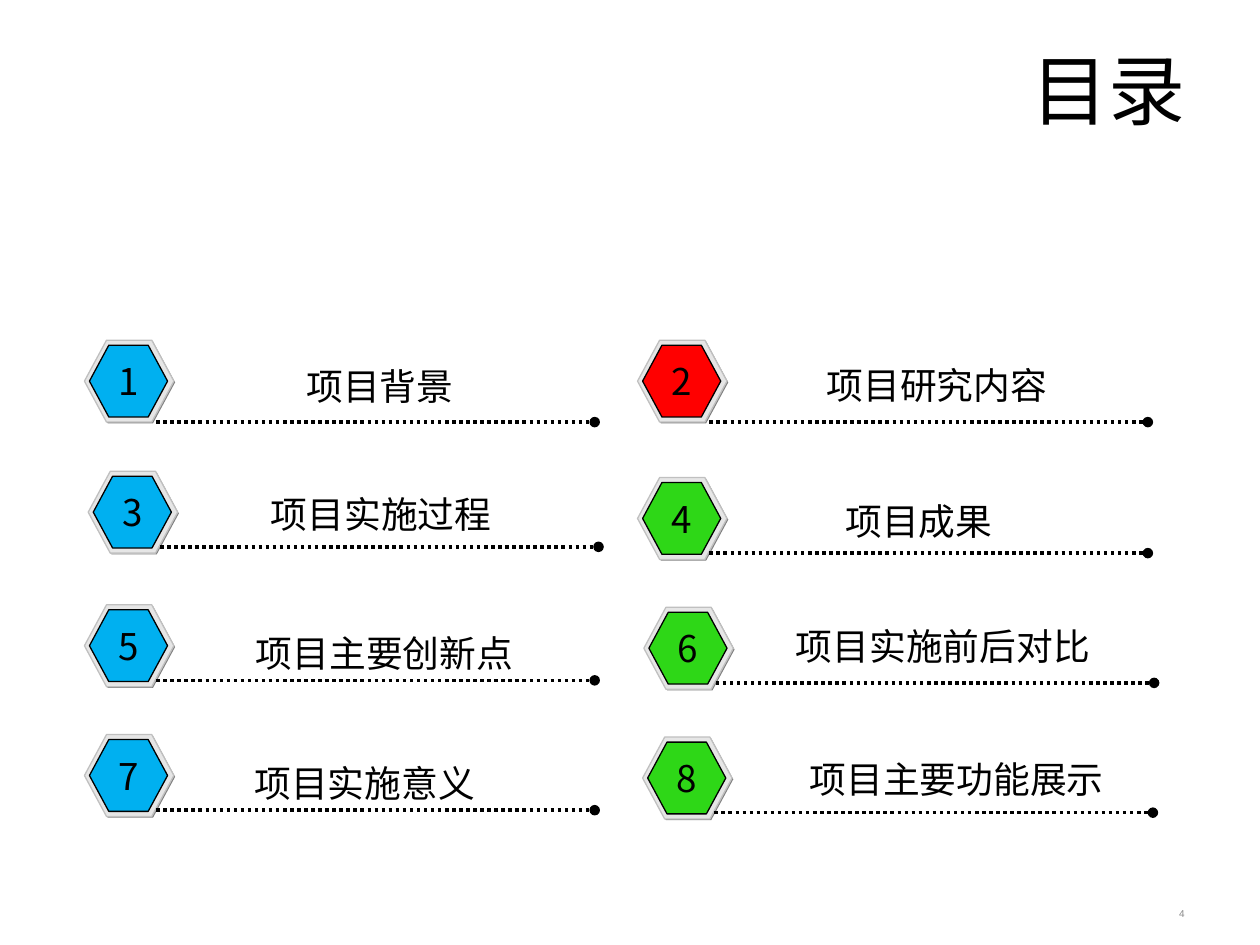
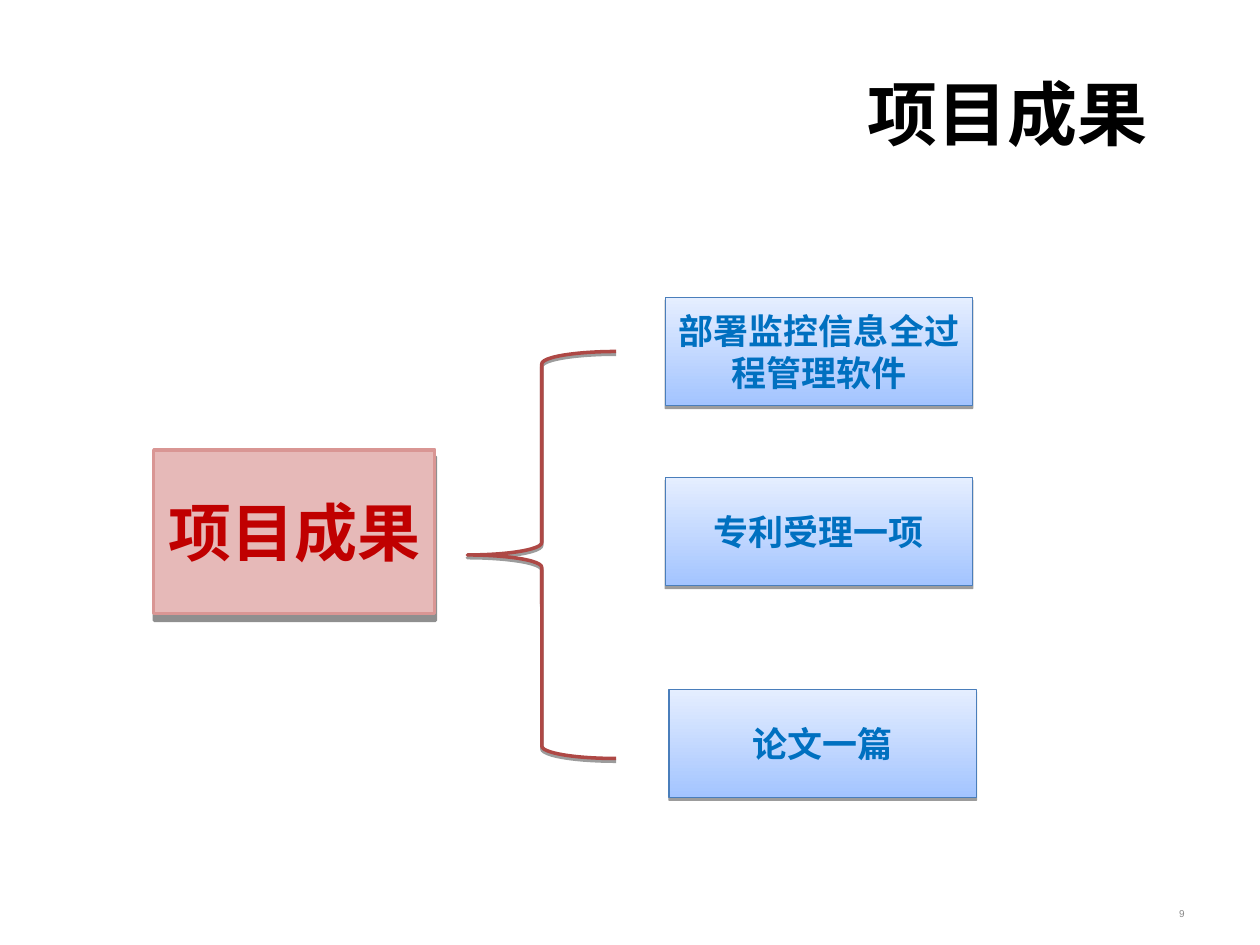
from pptx import Presentation
from pptx.dml.color import RGBColor
from pptx.enum.dml import MSO_LINE
from pptx.enum.shapes import MSO_CONNECTOR, MSO_SHAPE
from pptx.enum.text import MSO_ANCHOR, MSO_AUTO_SIZE, PP_ALIGN
from pptx.oxml.ns import qn
from pptx.util import Inches, Pt
from lxml.etree import SubElement

COLORS = {
    "black": "000000", "rim": "E6E6E6", "rim_line": "C0C0C0", "rim_shade": "808080",
    "blue": "00B0F0", "red": "FF0000", "green": "2ED717", "number": "898989",
    "pink": "E6B9B8", "pink_line": "D99694", "dark_red": "C00000", "brace": "AE4845",
    "sky_low": "A3C4FF", "sky_high": "E5EEFF", "sky_line": "4A7EBB", "sky_text": "0070C0",
}
CJK = "Noto Sans CJK SC"
FONTS = {
    "contents_title": ({"name": "Calibri", "size": Pt(44)}, "black"),
    "results_title": ({"name": "Arial", "size": Pt(40), "bold": True}, "black"),
    "entry": ({"name": CJK, "size": Pt(21)}, "black"),
    "page": ({"name": "Arial", "size": Pt(5.7)}, "number"),
    "topic": ({"name": "Calibri", "size": Pt(36), "bold": True}, "dark_red"),
    "result": ({"name": "Calibri", "size": Pt(20), "bold": True}, "sky_text"),
}
LEFT, CENTER, RIGHT = PP_ALIGN.LEFT, PP_ALIGN.CENTER, PP_ALIGN.RIGHT
ROW_HEIGHT = 0.44
ENTRIES = [
    ("项目背景", "blue", (0.67, 2.7), (1.42, 2.85), CENTER, 3.19),
    ("项目研究内容", "red", (5.06, 2.7), (5.76, 2.84), CENTER, 3.35),
    ("项目实施过程", "blue", (0.7, 3.74), (2.06, 3.86), LEFT, None),
    ("项目成果", "green", (5.06, 3.79), (6.62, 3.92), LEFT, None),
    ("项目主要创新点", "blue", (0.67, 4.8), (1.94, 4.97), LEFT, None),
    ("项目实施前后对比", "green", (5.11, 4.82), (6.22, 4.91), RIGHT, None),
    ("项目实施意义", "blue", (0.67, 5.83), (1.93, 6), LEFT, None),
    ("项目主要功能展示", "green", (5.1, 5.85), (6.33, 5.97), RIGHT, None),
]
RESULTS = [
    ("部署监控信息全过程管理软件", 5.28, 2.36),
    ("专利受理一项", 5.28, 3.79),
    ("论文一篇", 5.31, 5.47),
]


def rgb(name):
    return RGBColor.from_string(COLORS[name])


def set_all(obj, values):
    for key, value in values.items():
        setattr(obj, key, value)


def write(shape, text, style, align=LEFT, anchor=MSO_ANCHOR.TOP, wrap=True, inset=(0.1, 0.05)):
    x, y = map(Inches, inset)
    tf = shape.text_frame
    set_all(tf, {"word_wrap": wrap, "vertical_anchor": anchor, "margin_left": x,
                 "margin_right": x, "margin_top": y, "margin_bottom": y})
    if not wrap:
        tf.auto_size = MSO_AUTO_SIZE.SHAPE_TO_FIT_TEXT
    p = tf.paragraphs[0]
    p.alignment = align
    r = p.add_run()
    r.text = text
    values, color = FONTS[style]
    set_all(r.font, values)
    r.font.color.rgb = rgb(color)
    SubElement(r._r.get_or_add_rPr(), qn("a:ea"), typeface=CJK)


def add_text(shapes, box, text, style, **layout):
    write(shapes.add_textbox(*map(Inches, box)), text, style, **layout)


def add_box(shapes, kind, box, fill=None, line=None, width=0.75):
    sp = shapes.add_shape(kind, *map(Inches, box))
    sp.shadow.inherit = False
    if fill:
        sp.fill.solid()
        sp.fill.fore_color.rgb = rgb(fill)
    else:
        sp.fill.background()
    if line:
        sp.line.color.rgb = rgb(line)
        sp.line.width = Pt(width)
    else:
        sp.line.fill.background()
    return sp


def add_shadow(sp, opacity, distance, angle):
    effects = sp._element.spPr.find(qn("a:effectLst"))
    shadow = SubElement(effects, qn("a:outerShdw"), blurRad="0", dist=str(Pt(distance)),
                        dir=str(angle * 60000), algn="tl", rotWithShape="0")
    color = SubElement(shadow, qn("a:srgbClr"), val=COLORS["black"])
    SubElement(color, qn("a:alpha"), val=str(opacity * 1000))


def add_dotted_line(shapes, x, y, length):
    ends = map(Inches, (x, y, x + length, y))
    line = shapes.add_connector(MSO_CONNECTOR.STRAIGHT, *ends)
    line.line.color.rgb = rgb("black")
    set_all(line.line, {"width": Pt(2), "dash_style": MSO_LINE.ROUND_DOT})
    SubElement(line.line._get_or_add_ln(), qn("a:tailEnd"), type="oval")
    SubElement(line._element.spPr, qn("a:effectLst"))


def add_badge(s, number, color, x, y):
    shapes = s.shapes.add_group_shape().shapes
    layers = [
        ((x + 0.01, y + 0.01, 0.71, 0.65), "rim_shade", None),
        ((x, y, 0.71, 0.65), "rim", "rim_line"),
        ((x + 0.04, y + 0.04, 0.62, 0.57), color, "black"),
    ]
    for box, fill, line in layers:
        sp = add_box(shapes, MSO_SHAPE.HEXAGON, box, fill, line)
        sp.adjustments[0] = 0.27
    drop = 0.65 if number <= 2 else 0.6
    add_dotted_line(shapes, x + 0.57, y + drop, 3.48)
    add_text(shapes, (x + 0.17, y + 0.1, 0.36, 0.45), str(number), "entry",
             align=CENTER, wrap=False)


def add_entry(s, number, label, color, badge, place, align, width):
    add_badge(s, number, color, *badge)
    box = (*place, width or 0.29 * len(label) + 0.2, ROW_HEIGHT)
    add_text(s.shapes, box, label, "entry", align=align, wrap=bool(width), inset=(0.09, 0.04))


def add_result(s, label, x, y):
    sp = add_box(s.shapes, MSO_SHAPE.RECTANGLE, (x, y, 2.44, 0.86), line="sky_line")
    sp.fill.gradient()
    sp.fill.gradient_angle = 90
    for stop, color in zip(sp.fill.gradient_stops, ("sky_low", "sky_high")):
        stop.color.rgb = rgb(color)
    add_shadow(sp, 38, 1.6, 90)
    write(sp, label, "result", align=CENTER, anchor=MSO_ANCHOR.MIDDLE)


def new_slide(prs, page):
    s = prs.slides.add_slide(prs.slide_layouts[6])
    add_text(s.shapes, (7.17, 6.95, 2.33, 0.4), str(page), "page",
             align=RIGHT, anchor=MSO_ANCHOR.BOTTOM)
    return s


def build_contents(prs):
    s = new_slide(prs, 4)
    add_text(s.shapes, (0.5, 0.3, 9, 1.25), "目录", "contents_title",
             align=RIGHT, inset=(0.09, 0.04))
    for number, entry in enumerate(ENTRIES, 1):
        add_entry(s, number, *entry)


def build_results(prs):
    s = new_slide(prs, 9)
    add_text(s.shapes, (6.79, 0.51, 2.99, 0.77), "项目成果", "results_title")
    topic = add_box(s.shapes, MSO_SHAPE.RECTANGLE, (1.22, 3.57, 2.23, 1.3),
                    "pink", "pink_line", 2)
    add_shadow(topic, 44, 4, 84)
    write(topic, "项目成果", "topic", align=CENTER, anchor=MSO_ANCHOR.MIDDLE)
    brace = add_box(s.shapes, MSO_SHAPE.LEFT_BRACE, (3.71, 2.79, 1.18, 3.23),
                    line="brace", width=2)
    add_shadow(brace, 38, 1.6, 90)
    for result in RESULTS:
        add_result(s, *result)


def main():
    prs = Presentation()
    set_all(prs, {"slide_width": Inches(10), "slide_height": Inches(7.5)})
    build_contents(prs)
    build_results(prs)
    prs.save("out.pptx")


if __name__ == "__main__":
    main()
